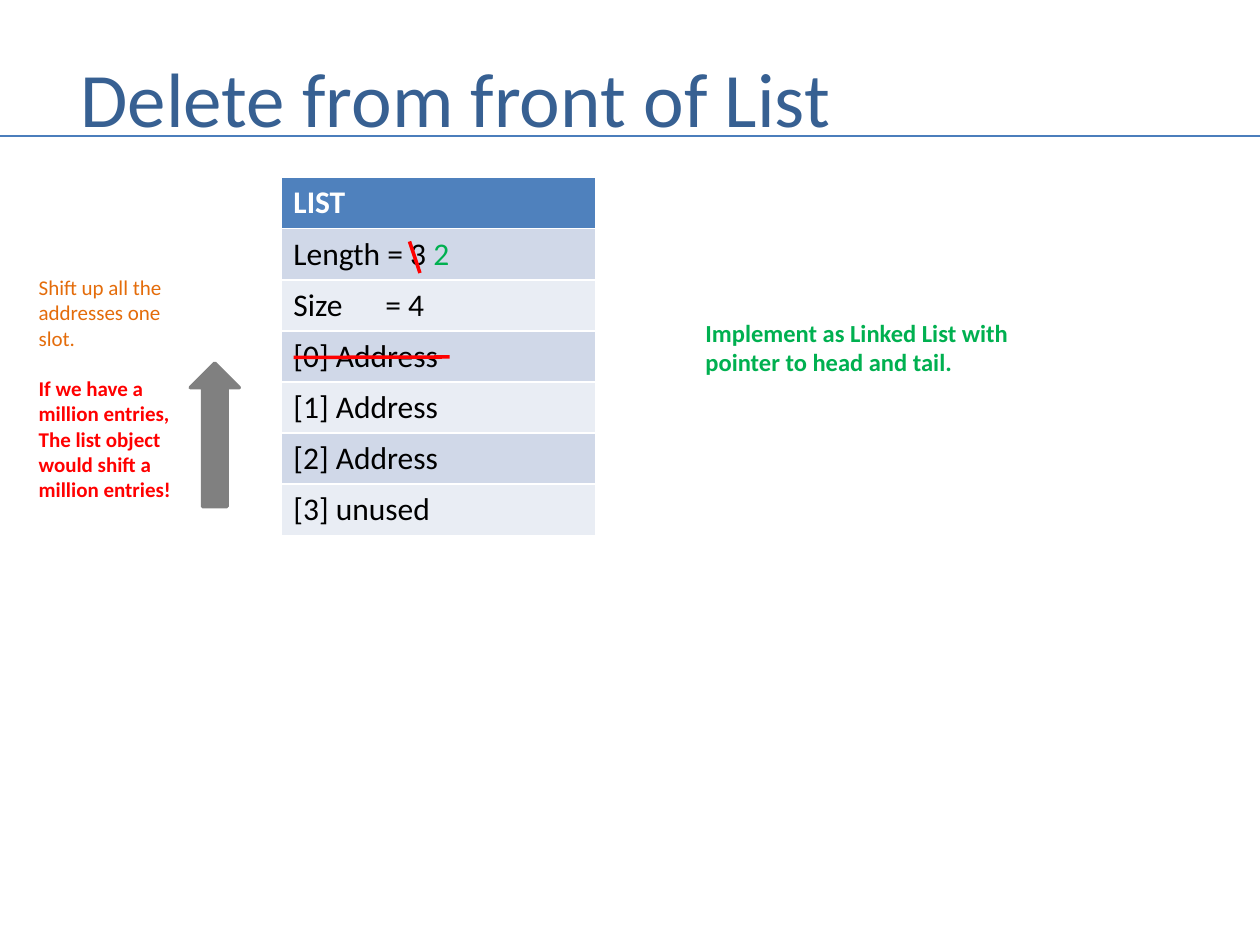
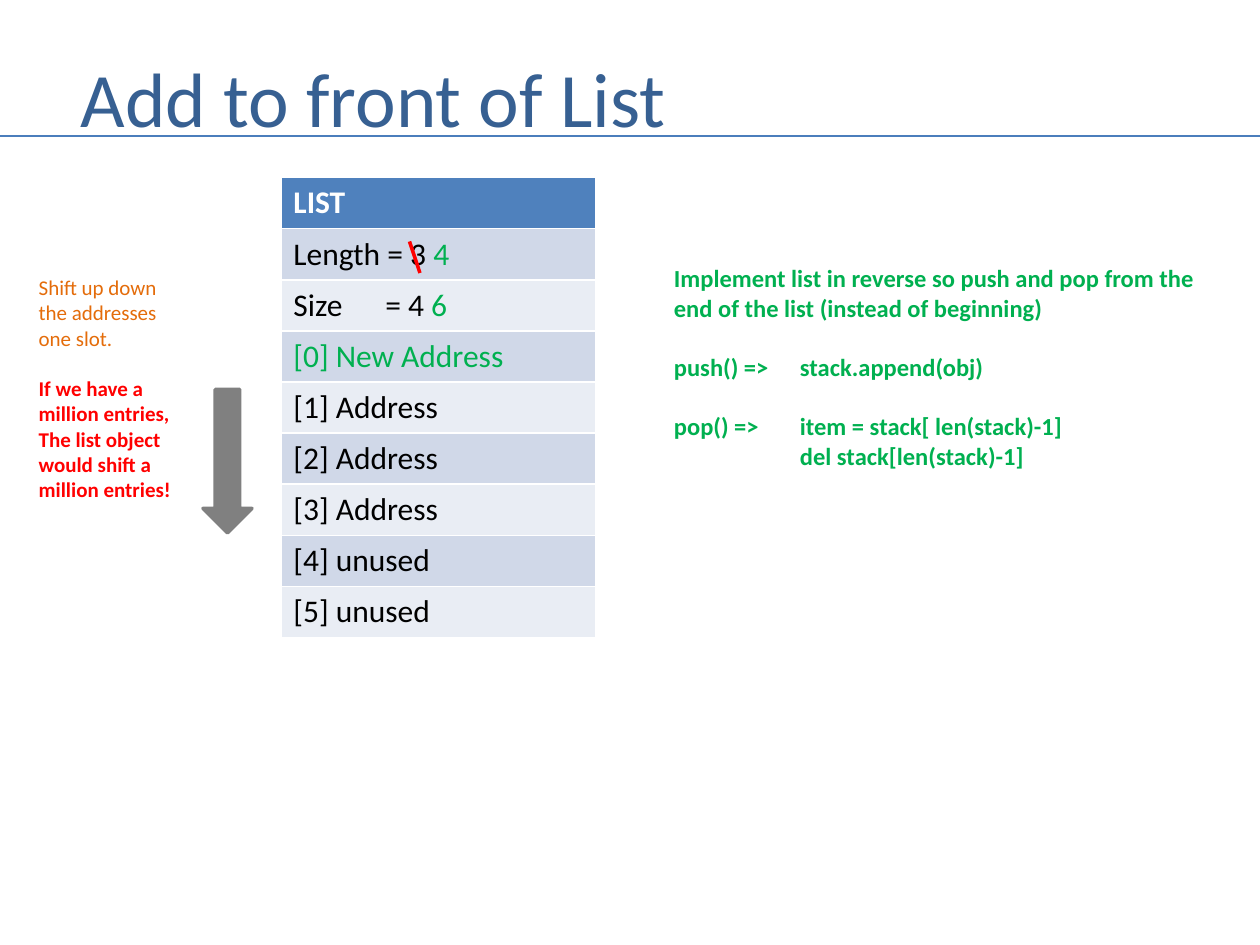
from pptx import Presentation
from pptx import util as u
from pptx.dml.color import RGBColor
from pptx.enum import shapes, text
from pptx.oxml.ns import qn
from lxml import etree

Pt = u.Pt
BLUE, LINE, HEAD = "376092", "4B7EBC", "4F81BD"
BANDS = ["D0D8E8", "E9EDF4"]
GREEN, RED, ORANGE, GREY = "00B050", "FF0000", "E46C0A", "808080"
BLACK, WHITE = "000000", "FFFFFF"
ROW = 29.2

rgb = RGBColor.from_string


def write(para, words, size, color, bold=False, tab=None):
    """Fill a paragraph; tab is the place of its one tab stop."""
    if tab:
        stops = etree.SubElement(para._p.get_or_add_pPr(), qn("a:tabLst"))
        etree.SubElement(stops, qn("a:tab"), pos=str(Pt(tab)), algn="l")
    para.add_run().text = words
    font = para.font
    font.name, font.size, font.bold = "Calibri", Pt(size), bold
    font.color.rgb = rgb(color)


def rule(slide, ends, color, width):
    line = slide.shapes.add_connector(
        shapes.MSO_CONNECTOR.STRAIGHT, *[Pt(n) for n in ends])
    line.line.color.rgb = rgb(color)
    line.line.width = Pt(width)
    etree.SubElement(line._element.spPr, qn("a:effectLst"))


WARN = ["If we have a million entries,",
        "The list object would shift a million entries!"]

# Rows hold the old text and the new, green text.
# Tip lines hold the words and the space before them.
pages = [
    dict(title="Delete from front of List",
         rows=[("Length = 3 ", "2"), ("Size\t= 4", ""), ("[0] Address", ""),
               ("[1] Address", ""), ("[2] Address", ""), ("[3] unused", "")],
         shift="Shift up all the addresses one slot.",
         arrow=(108.75, 207.5), turn=180,
         strike=(167.75, 204.25, 257, 204),
         tip=(396, 178, 220, 70),
         lines=[("Implement as Linked List with", 0),
                ("pointer to head and tail.", 0)]),
    dict(title="Add to front of List",
         rows=[("Length = 3 ", "4"), ("Size\t= 4 ", "6"),
               ("", "[0] New Address"), ("[1] Address", ""),
               ("[2] Address", ""), ("[3] Address", ""),
               ("[4] unused", ""), ("[5] unused", "")],
         shift="Shift up down the addresses one slot.",
         arrow=(116, 222.5), turn=0,
         strike=None,
         tip=(378, 147, 325, 126),
         lines=[("Implement list in reverse so push and pop from the", 0),
                ("end of the list (instead of beginning)", 0),
                ("push() =>\tstack.append(obj)", 17),
                ("pop() =>\titem = stack[ len(stack)-1]", 17),
                ("\tdel stack[len(stack)-1]", 0)]),
]

deck = Presentation()
deck.slide_width, deck.slide_height = Pt(720), Pt(540)

for page in pages:
    slide = deck.slides.add_slide(deck.slide_layouts[6])

    # Title and its rule
    frame = slide.shapes.add_textbox(Pt(39), Pt(24), Pt(654), Pt(62.5)).text_frame
    frame.word_wrap = True
    frame.vertical_anchor = text.MSO_ANCHOR.MIDDLE
    write(frame.paragraphs[0], page["title"], 44, BLUE)
    rule(slide, (0, 77.75, 720, 77.75), LINE, 1.5)

    # The list in memory
    rows = page["rows"]
    count = len(rows) + 1
    table = slide.shapes.add_table(
        count, 1, Pt(160.5), Pt(101.5), Pt(180), Pt(ROW * count)).table
    for row in table.rows:
        row.height = Pt(ROW)
    cell = table.cell(0, 0)
    cell.fill.solid()
    cell.fill.fore_color.rgb = rgb(HEAD)
    write(cell.text_frame.paragraphs[0], "LIST", 18, WHITE, True)
    for i, (old, new) in enumerate(rows):
        cell = table.cell(i + 1, 0)
        cell.fill.solid()
        cell.fill.fore_color.rgb = rgb(BANDS[i % 2])
        para = cell.text_frame.paragraphs[0]
        tab = 52.5 if "\t" in old else None
        write(para, old or new, 18, BLACK if old else GREEN, tab=tab)
        if old and new:
            run = para.add_run()
            run.text = new
            run.font.color.rgb = rgb(GREEN)

    # Strokes through the old values
    rule(slide, (234, 138, 240, 156), RED, 2)
    if page["strike"]:
        rule(slide, page["strike"], RED, 2)

    # Direction of the shift
    left, top = page["arrow"]
    arrow = slide.shapes.add_shape(
        shapes.MSO_SHAPE.DOWN_ARROW, Pt(left), Pt(top), Pt(28), Pt(82))
    arrow.rotation = page["turn"]
    arrow.shadow.inherit = False
    arrow.fill.solid()
    arrow.fill.fore_color.rgb = rgb(GREY)
    arrow.line.color.rgb = rgb(GREY)
    arrow.line.width = Pt(2)

    # Cost of the shift
    frame = slide.shapes.add_textbox(Pt(15), Pt(153.5), Pt(93), Pt(138)).text_frame
    frame.word_wrap = True
    write(frame.paragraphs[0], page["shift"], 12, ORANGE)
    for i, words in enumerate(WARN):
        para = frame.add_paragraph()
        write(para, words, 12, RED, True)
        if i == 0:
            para.space_before = Pt(14.5)

    # Better way
    frame = slide.shapes.add_textbox(*[Pt(n) for n in page["tip"]]).text_frame
    frame.word_wrap = True
    for i, (words, gap) in enumerate(page["lines"]):
        para = frame.add_paragraph() if i else frame.paragraphs[0]
        write(para, words, 14, GREEN, True, 72 if "\t" in words else None)
        if gap:
            para.space_before = Pt(gap)

deck.save("out.pptx")
